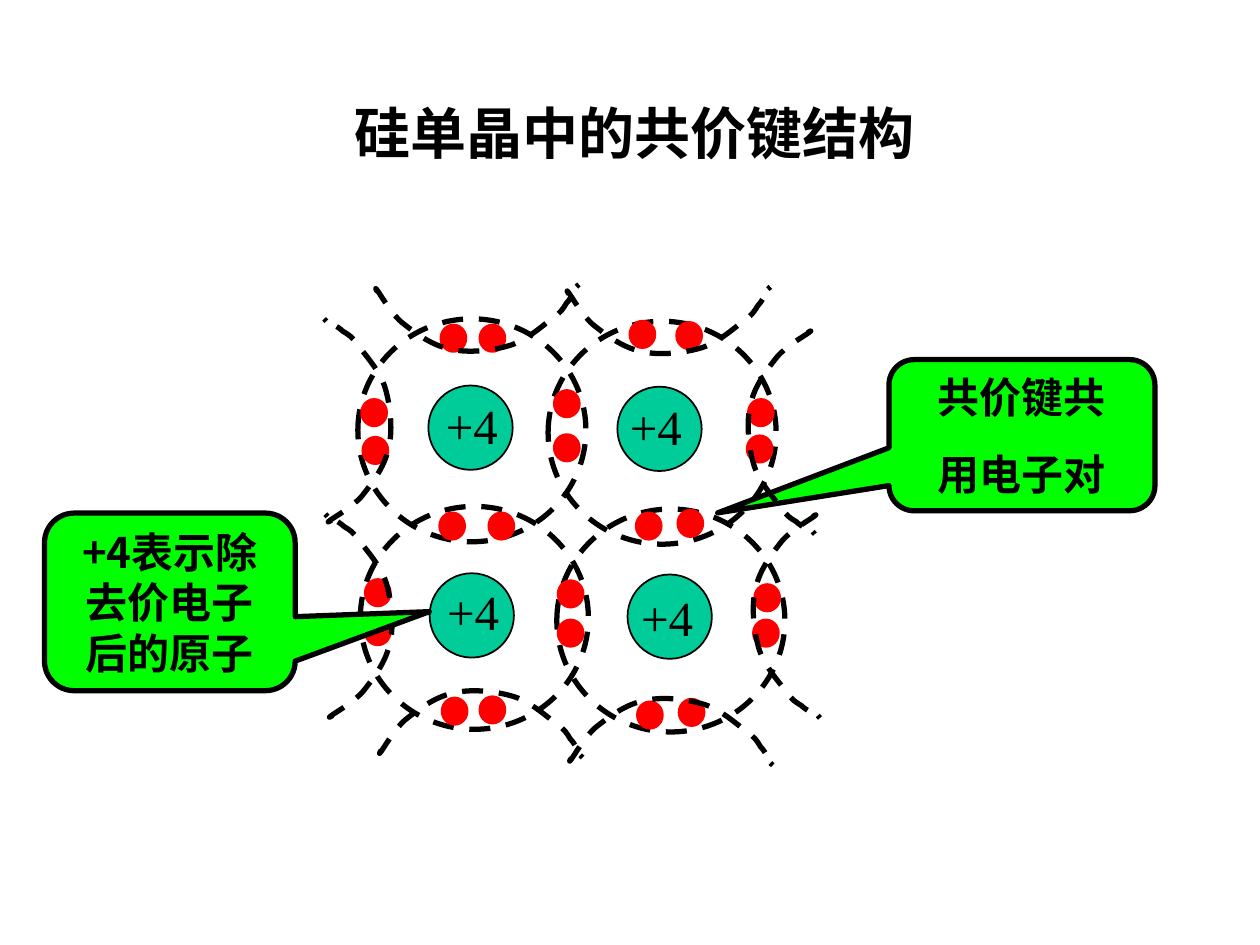
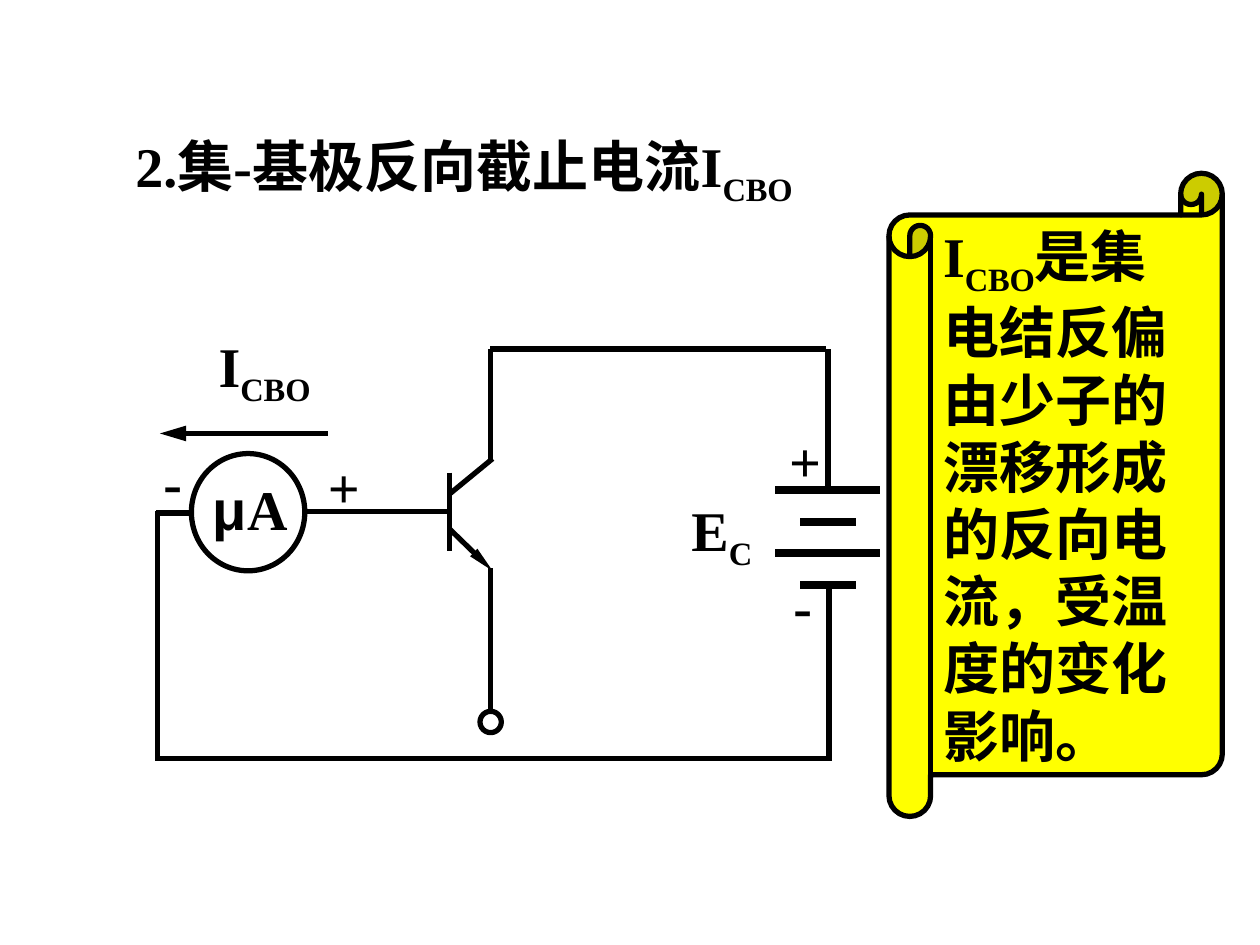
from lxml import etree
from pptx import Presentation
from pptx.dml.color import RGBColor
from pptx.enum.dml import MSO_LINE
from pptx.enum.shapes import MSO_CONNECTOR, MSO_SHAPE
from pptx.enum.text import MSO_ANCHOR, PP_ALIGN
from pptx.oxml.ns import qn
from pptx.util import Pt

OVAL = MSO_SHAPE.OVAL
CALLOUT = MSO_SHAPE.ROUNDED_RECTANGULAR_CALLOUT
SCROLL = MSO_SHAPE.HORIZONTAL_SCROLL
STRAIGHT = MSO_CONNECTOR.STRAIGHT
DASH = MSO_LINE.DASH
TOP, MIDDLE = MSO_ANCHOR.TOP, MSO_ANCHOR.MIDDLE
LEFT, CENTER = PP_ALIGN.LEFT, PP_ALIGN.CENTER

COLORS = {"ink": "000000", "callout": "00FF00", "nucleus": "00CC99",
          "electron": "FF0000", "scroll": "FFFF00"}
LATIN_FONT, CHINESE_FONT, SYMBOL_FONT = "Times New Roman", "Noto Sans CJK SC", "Arial"
SUBSCRIPT = {"baseline": -25000}
CBO_CURRENT = [("I", {}), ("CBO", SUBSCRIPT)]

# Outer bond curve on the right side, as offsets from its centre: a start point,
# then two handles and an end point for each cubic segment
BOND_CURVE = [
    (15.1, -56.5),
    (15.1, -56.5), (18.7, -58.7), (15.8, -56.5),
    (13, -54.4), (3.6, -49.3), (-2.2, -42.8),
    (-7.9, -35.6), (-15.1, -26.3), (-17.3, -16.2),
    (-20.2, -6.1), (-18.7, 8.3), (-15.8, 18.4),
    (-13, 28.4), (-4.3, 37.8), (0, 43.6),
    (3.6, 48.6), (5, 49.3), (8.6, 51.5),
    (11.5, 54.4), (16.6, 56.5), (18, 57.2),
    (20.2, 58.7), (19.4, 58.7), (19.4, 58.7),
    (19.4, 58.7), (18, 57.2), (18, 57.2),
]
# Horizontal factor, vertical factor and rotation of the curve on each side
BOND_TURNS = {"right": (1, 1, 0), "left": (-1, -1, 0),
              "top": (1, 1, 270), "bottom": (1, -1, 90)}


def rgb(name):
    return RGBColor.from_string(COLORS[name])


def write_text(text_frame, paragraphs, size=32, font=LATIN_FONT, bold=True,
               align=LEFT, anchor=MIDDLE, space_before=0):
    """Each paragraph is a string or a list of (text, run format) pairs."""
    text_frame.word_wrap = True
    text_frame.vertical_anchor = anchor
    text_frame.margin_left = text_frame.margin_right = Pt(7.2)
    text_frame.margin_top = text_frame.margin_bottom = Pt(3.6)
    for index, runs in enumerate(paragraphs):
        paragraph = text_frame.add_paragraph() if index else text_frame.paragraphs[0]
        paragraph.alignment = align
        paragraph.space_before = Pt(space_before if index else 0)
        for text, run_format in [(runs, {})] if isinstance(runs, str) else runs:
            run = paragraph.add_run()
            run.text = text
            run.font.size = Pt(size)
            run.font.bold = bold
            run.font.color.rgb = rgb("ink")
            run.font.name = run_format.get("font", font)
            properties = run._r.get_or_add_rPr()
            etree.SubElement(properties, qn("a:ea")).set("typeface", CHINESE_FONT)
            if "baseline" in run_format:
                properties.set("baseline", str(run_format["baseline"]))


def add_text(slide, box, paragraphs, **text_format):
    shape = slide.shapes.add_textbox(*map(Pt, box))
    write_text(shape.text_frame, paragraphs, **text_format)


def style_shape(shape, fill=None, line="ink", width=3, dash=None):
    shape.shadow.inherit = False
    if fill:
        shape.fill.solid()
        shape.fill.fore_color.rgb = rgb(fill)
    else:
        shape.fill.background()
    shape.line.color.rgb = rgb(line)
    shape.line.width = Pt(width)
    if dash:
        shape.line.dash_style = dash


def add_shape(slide, kind, box, adjustments=(), **style):
    shape = slide.shapes.add_shape(kind, *map(Pt, box))
    for index, value in enumerate(adjustments):
        shape.adjustments[index] = value
    style_shape(shape, **style)
    return shape


def add_line(slide, start, end, width=3, arrow_width=None):
    connector = slide.shapes.add_connector(STRAIGHT, *map(Pt, start + end))
    connector.line.color.rgb = rgb("ink")
    connector.line.width = Pt(width)
    if arrow_width:
        head = etree.SubElement(connector.line._get_or_add_ln(), qn("a:tailEnd"))
        head.set("type", "triangle")
        head.set("w", arrow_width)
        head.set("len", "lg")
    etree.SubElement(connector._element.spPr, qn("a:effectLst"))


def curve_outline(shape):
    """Turn every three straight segments into one cubic segment."""
    segments = list(shape._element.iter(qn("a:lnTo")))
    for index in range(0, len(segments), 3):
        curve = etree.Element(qn("a:cubicBezTo"))
        segments[index].addprevious(curve)
        for segment in segments[index:index + 3]:
            curve.append(segment[0])
            segment.getparent().remove(segment)


def add_bond(slide, center_x, center_y, side):
    factor_x, factor_y, rotation = BOND_TURNS[side]
    points = [(Pt(center_x + factor_x * x), Pt(center_y + factor_y * y))
              for x, y in BOND_CURVE]
    builder = slide.shapes.build_freeform(*points[0])
    builder.add_line_segments(points[1:], close=False)
    shape = builder.convert_to_shape()
    curve_outline(shape)
    shape.rotation = rotation
    style_shape(shape, dash=DASH)


def add_callout(slide, box, paragraphs, pointer, font=LATIN_FONT):
    shape = add_shape(slide, CALLOUT, box, (*pointer, 0.167), fill="callout")
    write_text(shape.text_frame, paragraphs, size=24, font=font, align=CENTER,
               space_before=15)


def add_lattice(slide, left, top):
    def place(x, y, width, height):
        return left + x, top + y, width, height

    # Nuclei and the dashed shells around them
    nuclei = [(64.8, 60.3), (172.8, 61), (65.5, 167.6), (178.6, 168.3)]
    shells = [(24.5, 22.2), (133.2, 23.6), (25.9, 129.4), (138.2, 130.9)]
    for nucleus, shell in zip(nuclei, shells):
        add_shape(slide, OVAL, place(*nucleus, 48.2, 48.2), fill="nucleus", width=1)
        add_shape(slide, OVAL, place(*shell, 130.3, 127.4), dash=DASH)

    # Shared electron pairs, row by row
    electron_pairs = [
        ((72.7, 26.5), (95, 26.5)), ((180.7, 24.3), (207.4, 25)),
        ((27.4, 69), (28.1, 90.6)), ((137.5, 63.9), (137.5, 89.1)),
        ((248.4, 69), (247.7, 89.8)),
        ((72, 133.8), (100.1, 133.8)), ((184.3, 133.8), (208.1, 132.3)),
        ((29.5, 171.9), (29.5, 194.2)), ((139.7, 172.6), (139.7, 195)),
        ((252, 174.8), (251.3, 195)),
        ((73.4, 239.6), (95, 238.9)), ((185, 241.8), (208.8, 240.3)),
    ]
    for pair in electron_pairs:
        for x, y in pair:
            add_shape(slide, OVAL, place(x, y, 12.8, 13.6), fill="electron", line="electron")

    # Open bonds to the neighbouring atoms
    bond_centers = {
        "right": [(266.4, 86.6), (269.3, 191.7)],
        "top": [(92.2, 21.8), (201.6, 23.2)],
        "bottom": [(94.3, 253.6), (203, 258)],
        "left": [(24.5, 80.8), (25.2, 192.4)],
    }
    for side, centers in bond_centers.items():
        for x, y in centers:
            add_bond(slide, left + x, top + y, side)

    # Charge labels
    for x, y in [(67.7, 62.5), (172.8, 63.2), (68.4, 169), (179.3, 171.9)]:
        add_text(slide, place(x, y, 55.4, 41), ["+4"], size=28, bold=False, anchor=TOP)


def add_circuit(slide, left, top):
    def wire(x1, y1, x2, y2, **style):
        add_line(slide, (left + x1, top + y1), (left + x2, top + y2), **style)

    def label(x, y, runs, width=80.6, height=46):
        add_text(slide, (left + x, top + y, width, height), [runs], align=CENTER)

    # Transistor
    wire(167, 90, 167, 134.6)
    wire(167, 122.4, 191.5, 146.2, arrow_width="sm")
    wire(167, 102.2, 191.5, 82.1)
    wire(190.1, 19.4, 190.1, 84.2)
    wire(190.1, 144.7, 190.1, 226.8)

    # Microammeter
    add_shape(slide, OVAL, (left + 19.4, top + 79.2, 64.8, 67))
    label(20.9, 87.1, [("μ", {"font": SYMBOL_FONT}), ("A", {})], width=64.1)
    wire(85.7, 112.4, 167.8, 112.4)
    wire(18.7, 113.2, -0.7, 113.2)

    # Battery: long and short plates in turn
    for index in range(4):
        y = 100.1 + 18 * index
        start, end = (398.9, 367.2) if index % 2 else (412.6, 352.8)
        wire(start, y, end, y, width=4.5)

    # Outer loop
    wire(190.1, 19.4, 382.3, 19.4)
    wire(383.2, 102.2, 383.2, 19.4)
    wire(0, 112.3, 0, 254.9)
    wire(0, 253.4, 383.8, 253.4)
    wire(383.8, 156.2, 383.8, 254.9)

    # Current arrow, open terminal and labels
    label(20.9, 5.8, CBO_CURRENT, height=51.1)
    wire(97.2, 67.7, 1.4, 67.7, arrow_width="med")
    add_shape(slide, OVAL, (left + 184.3, top + 226.5, 12.2, 12.2))
    for sign, x, y in [("-", -31.7, 72), ("+", 66.2, 74.9),
                       ("+", 329.8, 59.8), ("-", 328.3, 142.6)]:
        label(x, y, sign)
    label(282.2, 99.4, [("E", {}), ("C", SUBSCRIPT)], height=51.1)


def add_scroll_note(slide, box):
    shape = add_shape(slide, SCROLL, box, (0.125,), fill="scroll")
    explanation = "是集电结反偏由少子的漂移形成的反向电流，受温度的变化影响。"
    write_text(shape.text_frame, [CBO_CURRENT + [(explanation, {})]])


def build_bond_slide(slide):
    add_text(slide, (195.5, 52.6, 336.2, 46), ["硅单晶中的共价键结构"], anchor=TOP)
    add_callout(slide, (508, 205.5, 152, 86.4), ["共价键共", "用电子对"],
                pointer=(-1.144, 0.514))
    add_lattice(slide, 180, 160)
    add_callout(slide, (25.4, 293.2, 143.3, 101.5), ["+4表示除去价电子后的原子"],
                pointer=(1.035, 0.055), font=CHINESE_FONT)


def build_current_slide(slide):
    add_text(slide, (70.3, 71.3, 506.9, 51.1),
             [[("2.集-基极反向截止电流I", {}), ("CBO", SUBSCRIPT)]])
    add_scroll_note(slide, (508, 99, 190.5, 367.5))
    add_circuit(slide, 90, 180)


def main():
    presentation = Presentation()
    presentation.slide_width, presentation.slide_height = Pt(720), Pt(540)
    blank_layout = presentation.slide_layouts[6]
    for build_slide in (build_bond_slide, build_current_slide):
        build_slide(presentation.slides.add_slide(blank_layout))
    presentation.save("out.pptx")


if __name__ == "__main__":
    main()
